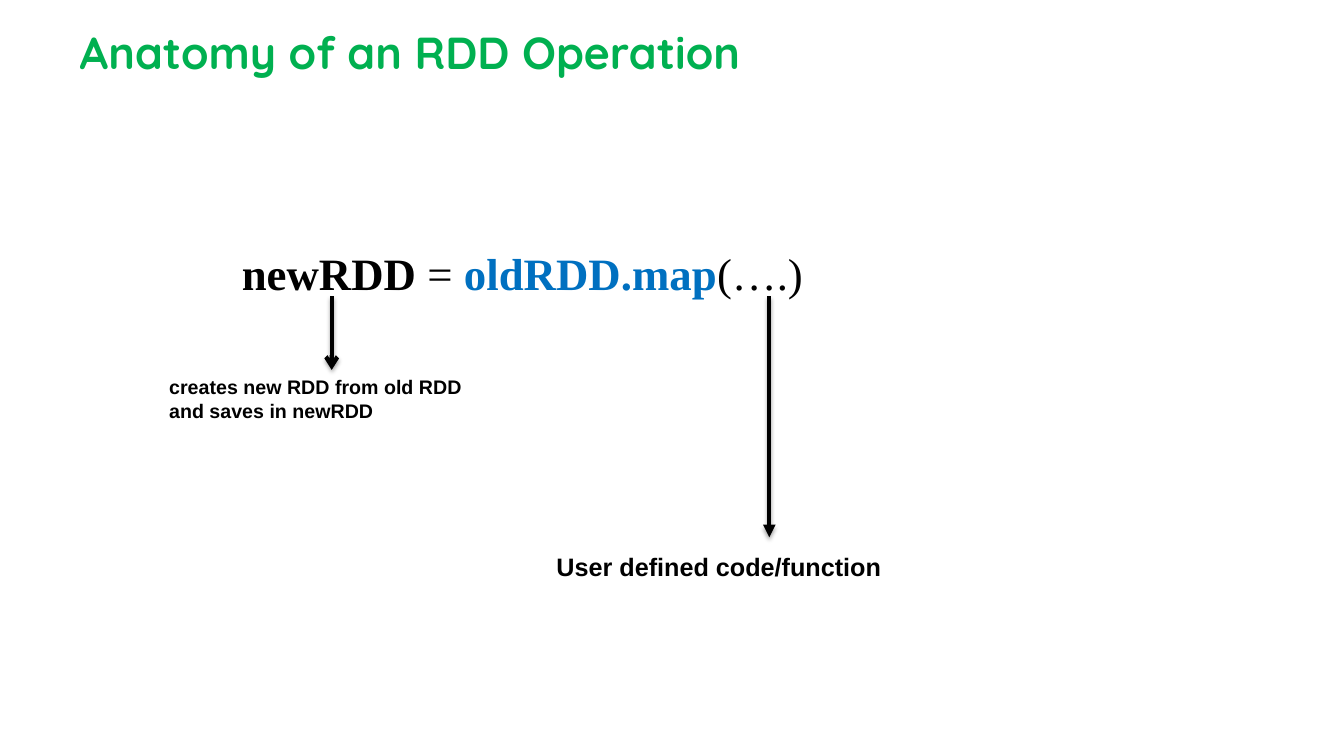
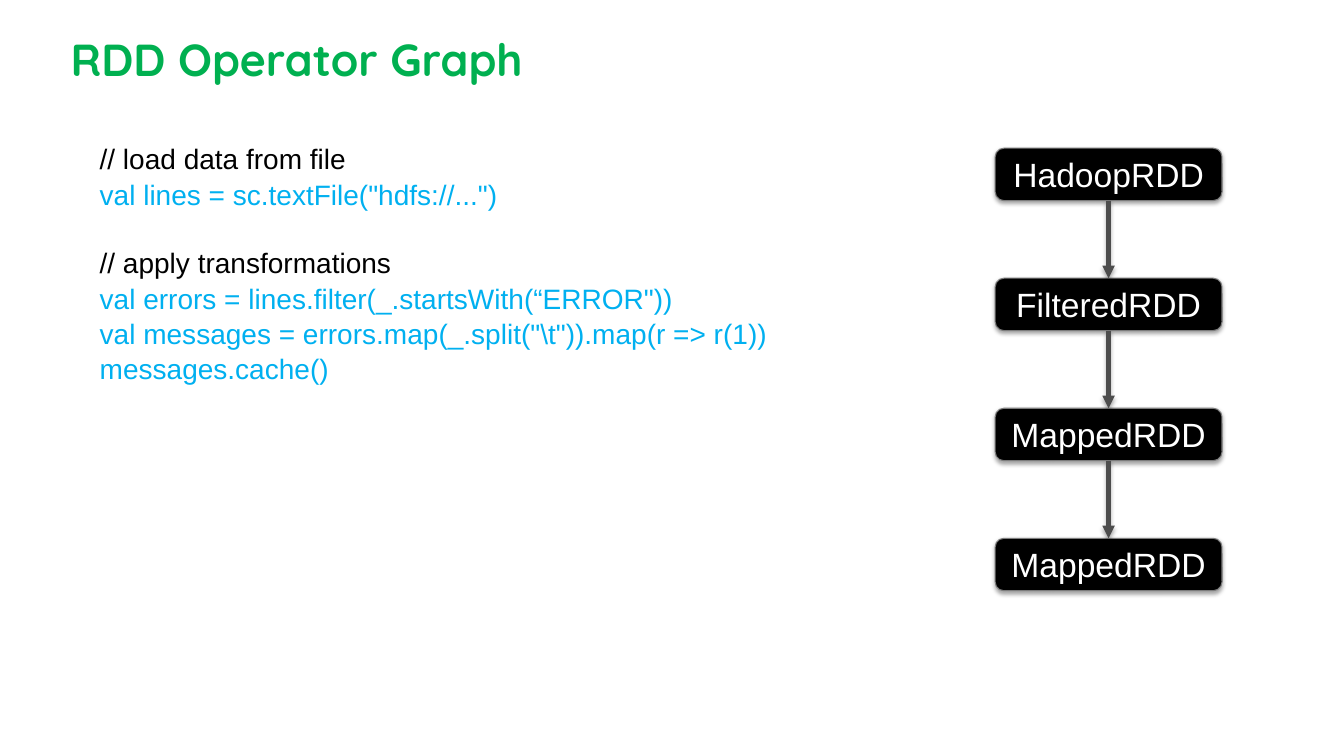
from pptx import Presentation
from pptx.dml.color import RGBColor
from pptx.enum.shapes import MSO_CONNECTOR, MSO_SHAPE
from pptx.enum.text import MSO_ANCHOR, MSO_AUTO_SIZE, PP_ALIGN
from pptx.oxml import parse_xml
from pptx.oxml.ns import nsdecls
from pptx.util import Inches, Pt

# Shared style
BLACK, WHITE, GREEN = "000000", "FFFFFF", "00B050"
BLUE, SKY, GRAY, EDGE = "0070C0", "00B0F0", "4D4D4D", "7D7D7D"
HEAD_FONT, BODY_FONT, CODE_FONT = "Quicksand", "Arial", "Times New Roman"

# Content: a line is a list of (text, colour, bold) runs
ANATOMY_TITLE = ("Anatomy of an RDD Operation", (0.69, 0.2, 10.8, 0.68))
EQUATION = [[("newRDD", BLACK, True), (" = ", BLACK, False),
             ("oldRDD.map", BLUE, True), ("(….)", BLACK, False)]]
RESULT_NOTE = [[("creates new RDD from old RDD", BLACK, True)],
               [("and saves in newRDD", BLACK, True)]]
FUNCTION_NOTE = [[("User defined code/function", BLACK, True)]]
ANATOMY_ARROWS = [(7.63, 2.94, 5.33, "triangle"), (3.29, 2.94, 3.67, "arrow")]

GRAPH_TITLE = ("RDD Operator Graph", (0.6, 0.15, 11.5, 0.8))
CODE = [
    "// load data from file",
    'val lines = sc.textFile("hdfs://...")',
    "// apply transformations",
    'val errors = lines.filter(_.startsWith(“ERROR"))',
    r'val messages = errors.map(_.split("\t")).map(r => r(1))',
    "messages.cache()",
]
RDDS = ["HadoopRDD", "FilteredRDD", "MappedRDD", "MappedRDD"]
BOX_LEFT, BOX_TOP, BOX_W, BOX_H, BOX_PITCH = 9.87, 1.47, 2.25, 0.52, 1.29


def rgb(value):
    return RGBColor.from_string(value)


def style(run, size, color, bold=False, font=BODY_FONT):
    f = run.font
    f.size, f.bold, f.name = Pt(size), bold, font
    f.color.rgb = rgb(color)


def add_shadow(shape):
    shape._element.spPr.append(parse_xml(
        f'<a:effectLst {nsdecls("a")}><a:outerShdw blurRad="{Pt(3.1)}" dist="{Pt(1.8)}" '
        'dir="5400000" rotWithShape="0"><a:srgbClr val="000000"><a:alpha val="35000"/>'
        '</a:srgbClr></a:outerShdw></a:effectLst>'))


def add_titled_slide(prs, title, at):
    s = prs.slides.add_slide(prs.slide_layouts[5])
    sp = s.shapes.title
    sp.left, sp.top, sp.width, sp.height = map(Inches, at)
    tf = sp.text_frame
    tf.text = title
    tf.auto_size, tf.vertical_anchor = MSO_AUTO_SIZE.NONE, MSO_ANCHOR.BOTTOM
    tf.margin_left = tf.margin_right = tf.margin_top = tf.margin_bottom = Inches(0.1)
    p = tf.paragraphs[0]
    p.alignment = PP_ALIGN.LEFT
    style(p.runs[0], 32, GREEN, True, HEAD_FONT)
    return s


def add_text(s, at, lines, size, font=BODY_FONT, align=PP_ALIGN.LEFT, wrap=True):
    tf = s.shapes.add_textbox(*map(Inches, at)).text_frame
    tf.word_wrap = wrap
    for i, line in enumerate(lines):
        p = tf.add_paragraph() if i else tf.paragraphs[0]
        p.alignment = align
        for text, color, bold in line:
            r = p.add_run()
            r.text = text
            style(r, size, color, bold, font)
    return tf


def add_arrow(s, x, top, bottom, color, head="triangle"):
    line = s.shapes.add_connector(MSO_CONNECTOR.STRAIGHT, Inches(x), Inches(top),
                                  Inches(x), Inches(bottom))
    line.line.color.rgb, line.line.width = rgb(color), Pt(3)
    line.line._get_or_add_ln().append(
        parse_xml(f'<a:tailEnd {nsdecls("a")} type="{head}"/>'))
    add_shadow(line)


def add_box(s, text, top):
    sp = s.shapes.add_shape(MSO_SHAPE.ROUNDED_RECTANGLE, Inches(BOX_LEFT), Inches(top),
                            Inches(BOX_W), Inches(BOX_H))
    sp.fill.solid()
    sp.fill.fore_color.rgb = rgb(BLACK)
    sp.line.color.rgb, sp.line.width = rgb(EDGE), Pt(0.75)
    add_shadow(sp)
    tf = sp.text_frame
    tf.text, tf.vertical_anchor = text, MSO_ANCHOR.MIDDLE
    p = tf.paragraphs[0]
    p.alignment = PP_ALIGN.CENTER
    style(p.runs[0], 24, WHITE)


def build_anatomy(prs):
    s = add_titled_slide(prs, *ANATOMY_TITLE)
    add_text(s, (2.3, 2.39, 6.5, 0.62), EQUATION, 32, CODE_FONT)
    for x, top, bottom, head in ANATOMY_ARROWS:
        add_arrow(s, x, top, bottom, BLACK, head)
    add_text(s, (5.42, 5.42, 3.46, 0.4), FUNCTION_NOTE, 18, wrap=False)
    add_text(s, (1.58, 3.67, 4, 0.57), RESULT_NOTE, 14, align=PP_ALIGN.JUSTIFY)


def build_graph(prs):
    s = add_titled_slide(prs, *GRAPH_TITLE)

    # Code listing, with a gap before each later comment
    lines = [[(t, BLACK if t.startswith("//") else SKY, False)] for t in CODE]
    tf = add_text(s, (0.89, 1.34, 7.45, 2.79), lines, 20)
    for i, p in enumerate(tf.paragraphs):
        p.line_spacing = 1.05
        if i and p.text.startswith("//"):
            p.space_before = Pt(24)

    # Chain of operators
    tops = [BOX_TOP + i * BOX_PITCH for i in range(len(RDDS))]
    for name, top in zip(RDDS, tops):
        add_box(s, name, top)
    for top, following in zip(tops, tops[1:]):
        add_arrow(s, BOX_LEFT + BOX_W / 2, top + BOX_H, following, GRAY)


def main():
    prs = Presentation()
    prs.slide_width, prs.slide_height = Inches(13.33), Inches(7.5)
    build_anatomy(prs)
    build_graph(prs)
    prs.save("out.pptx")


if __name__ == "__main__":
    main()
